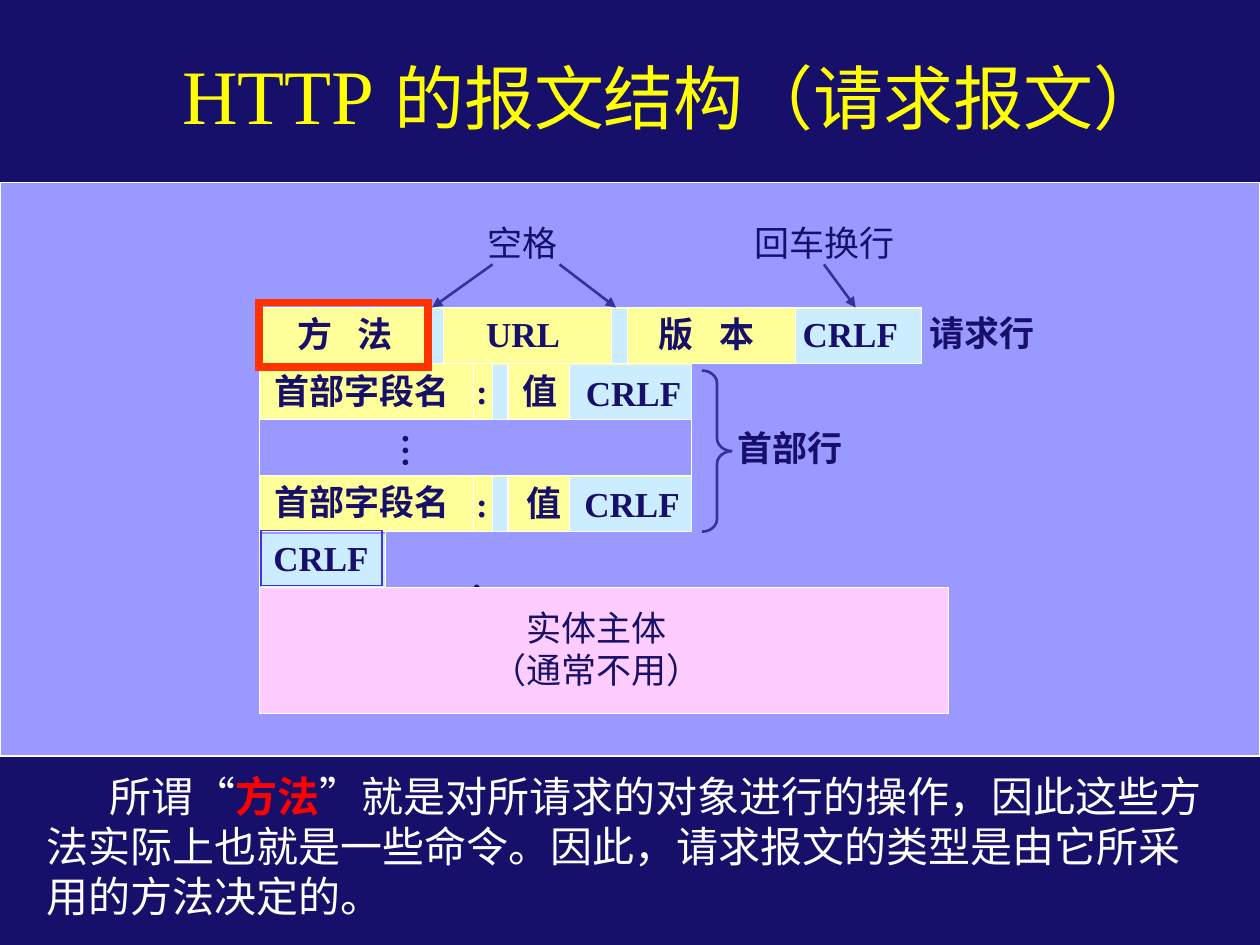
from pptx import Presentation, util as u
from pptx.dml import color as dml
from pptx.enum import shapes, text
from pptx.oxml import xmlchemy

COLORS = {
    "navy": "16106B", "panel": "9999FF", "yellow": "FFFF99", "sky": "CCECFF",
    "pink": "FFCCFF", "white": "FFFFFF", "indigo": "333399", "violet": "4035E1",
    "orange": "FF3300", "red": "FF0000", "title": "FFFF01",
}
FONT = "Times New Roman"
LEFT, TOP, ROW = 5.23, 6.2, 1.13  # message grid in cm
HEADER_RIGHT = 13.94


def rgb(name):
    return dml.RGBColor.from_string(COLORS[name])


def row_top(row):
    return TOP + row * ROW


class Deck:
    def __init__(self):
        self.presentation = Presentation()
        self.presentation.slide_width = u.Cm(25.4)
        self.presentation.slide_height = u.Cm(19.05)
        self.slide = None

    def add_slide(self, background):
        self.slide = self.presentation.slides.add_slide(self.presentation.slide_layouts[6])
        self.slide.background.fill.solid()
        self.slide.background.fill.fore_color.rgb = rgb(background)

    def shape(self, left, top, width, height, fill=None, line=None, weight=0.75,
              kind=shapes.MSO_SHAPE.RECTANGLE):
        shape = self.slide.shapes.add_shape(
            kind, u.Cm(left), u.Cm(top), u.Cm(width), u.Cm(height))
        shape.shadow.inherit = False
        if fill:
            shape.fill.solid()
            shape.fill.fore_color.rgb = rgb(fill)
        else:
            shape.fill.background()
        if line:
            shape.line.color.rgb = rgb(line)
            shape.line.width = u.Pt(weight)
            # Square corners
            miter = xmlchemy.OxmlElement("a:miter")
            miter.set("lim", "800000")
            shape.line._get_or_add_ln().append(miter)
        else:
            shape.line.fill.background()
        return shape

    def line(self, x1, y1, x2, y2, color="white", weight=0.75, arrow=False):
        connector = self.slide.shapes.add_connector(
            shapes.MSO_CONNECTOR.STRAIGHT, u.Cm(x1), u.Cm(y1), u.Cm(x2), u.Cm(y2))
        connector.line.color.rgb = rgb(color)
        connector.line.width = u.Pt(weight)
        if arrow:
            tail = xmlchemy.OxmlElement("a:tailEnd")
            tail.set("type", "triangle")
            connector.line._get_or_add_ln().append(tail)
        connector._element.spPr.append(xmlchemy.OxmlElement("a:effectLst"))

    def row_line(self, x, row):
        self.line(x, row_top(row), x, row_top(row + 1))

    def format(self, run, size=20, color="navy", bold=False, font=FONT, spacing=0):
        run.font.size = u.Pt(size)
        run.font.name = font
        run.font.bold = bold
        run.font.color.rgb = rgb(color)
        if spacing:
            run._r.get_or_add_rPr().set("spc", str(spacing * 100))

    def label(self, content, left, top, width, height=1.12, bold=True,
              center=False, spacing=0):
        box = self.slide.shapes.add_textbox(
            u.Cm(left), u.Cm(top), u.Cm(width), u.Cm(height))
        frame = box.text_frame
        frame.text = content
        frame.word_wrap = False
        frame.auto_size = text.MSO_AUTO_SIZE.SHAPE_TO_FIT_TEXT
        for paragraph in frame.paragraphs:
            if center:
                paragraph.alignment = text.PP_ALIGN.CENTER
            for run in paragraph.runs:
                self.format(run, bold=bold, spacing=spacing)
        return box

    def rich_text(self, left, top, width, height, runs):
        box = self.slide.shapes.add_textbox(
            u.Cm(left), u.Cm(top), u.Cm(width), u.Cm(height))
        box.text_frame.word_wrap = True
        paragraph = box.text_frame.paragraphs[0]
        for content, style in runs:
            run = paragraph.add_run()
            run.text = content
            self.format(run, **style)
        return box

    def band(self, row, right, separators, dividers):
        """A yellow message row with blue separators and white dividers."""
        self.shape(LEFT, row_top(row), right - LEFT, ROW, "yellow", "white")
        for start, end in separators:
            self.shape(start, row_top(row) + 0.03, end - start, ROW - 0.04, "sky")
        for x in dividers:
            self.row_line(x, row)


def main():
    deck = Deck()
    deck.add_slide("navy")

    # Explanation below the panel
    body = {"size": 24, "color": "white"}
    note = deck.rich_text(0.69, 15.4, 24, 3.3, [
        ("所谓“", body),
        ("方法", {"size": 24, "color": "red", "bold": True}),
        ("”就是对所请求的对象进行的操作，因此这些方法实际上也就是一些命令。"
         "因此，请求报文的类型是由它所采用的方法决定的。", body),
    ])
    properties = note.text_frame.paragraphs[0]._p.get_or_add_pPr()
    properties.set("indent", str(u.Cm(1.27)))

    # Panel and message rows
    deck.shape(0, 3.68, 25.4, 11.56, "panel", "white")
    for row in (3, 1):
        deck.band(row, HEADER_RIGHT, [(9.93, 10.24), (11.48, HEADER_RIGHT)],
                  [9.55, 9.93, 10.24, 11.48])
    deck.band(0, 18.57, [(8.64, 8.94), (12.32, 12.65), (16.03, 18.57)],
              [8.64, 8.94, 12.32, 12.65, 16.03])
    deck.shape(LEFT + 0.03, row_top(4) + 0.05, 2.51, 1.07, "sky")
    for x, row in [(LEFT, 2), (HEADER_RIGHT, 2), (LEFT, 4), (7.77, 4)]:
        deck.row_line(x, row)

    # Field labels
    for content, left, top, width in [
        ("URL", 9.55, 6.17, 2.1), ("CRLF", 15.93, 6.17, 2.5),
        ("请求行", 18.49, 6.15, 2.7), ("首部行", 14.62, 8.47, 2.7),
        ("首部字段名", 5.28, 7.32, 4.1), ("首部字段名", 5.28, 9.57, 4.1),
        (":", 9.35, 7.32, 0.8), (":", 9.35, 9.6, 0.8), (":", 9.25, 11.3, 0.8),
        ("值", 10.29, 7.32, 1.3), ("值", 10.36, 9.58, 1.3),
        ("CRLF", 11.56, 7.37, 2.5), ("CRLF", 11.53, 9.6, 2.5),
        ("CRLF", 5.26, 10.7, 2.5),
    ]:
        deck.label(content, left, top, width)
    for content, left in [("方 法", 5.74), ("版 本", 13.03)]:
        deck.label(content, left, 6.17, 2.8, spacing=5)
    deck.label("…", 7.34, 8.53, 1.22).rotation = 270

    # Brace around the header rows
    brace = deck.shape(14.15, 7.47, 0.61, 3.25, line="indigo", weight=1.5,
                       kind=shapes.MSO_SHAPE.RIGHT_BRACE)
    brace.adjustments[0] = 0.42

    # Entity body
    deck.shape(LEFT, row_top(5), 13.89, 2.54, "pink", "white")
    deck.label("实体主体\n（通常不用）", 9.65, 12.1, 4.75, 1.96, bold=False, center=True)

    # Callouts
    deck.label("空格", 9.58, 4.35, 2.1, bold=False)
    deck.label("回车换行", 14.96, 4.35, 3.5, bold=False)
    for start, end in [(11.28, 12.42), (9.93, 8.71), (16.61, 17.25)]:
        deck.line(start, 5.33, end, TOP, "indigo", 1.5, arrow=True)

    # Outlines of the blank line and the highlighted method
    deck.shape(5.26, 10.69, 2.44, 1.12, line="violet")
    deck.shape(LEFT, 6.1, 3.4, 1.3, line="orange", weight=4.5)

    # Title
    title = deck.rich_text(2.9, 0.91, 21.64, 1.96, [
        ("HTTP", {"size": 44, "color": "title"}),
        (" 的报文结构（请求报文） ", {"size": 40, "color": "title", "font": "Arial"}),
    ])
    title.text_frame.vertical_anchor = text.MSO_ANCHOR.MIDDLE
    title.text_frame.paragraphs[0].alignment = text.PP_ALIGN.CENTER

    deck.presentation.save("out.pptx")


if __name__ == "__main__":
    main()
